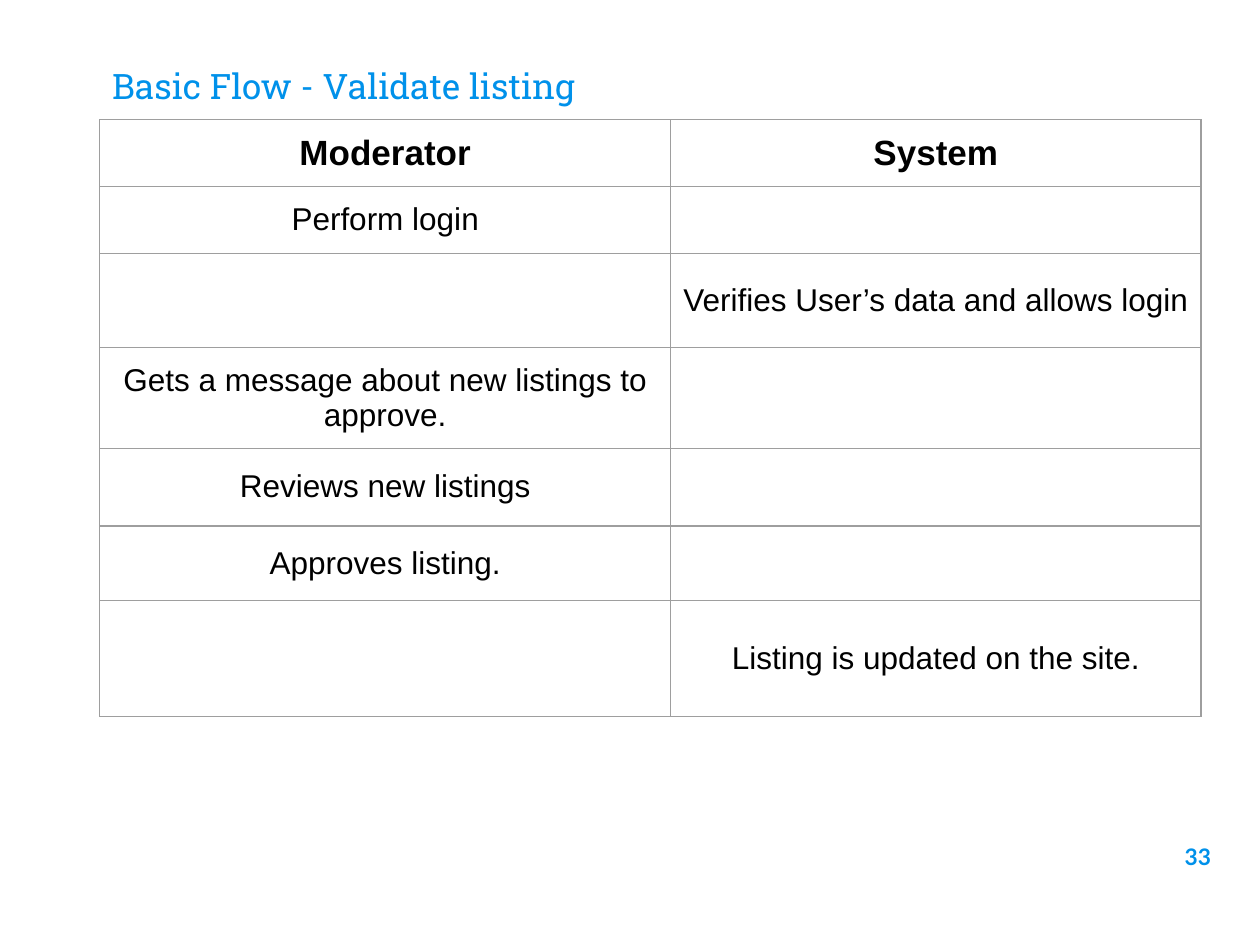
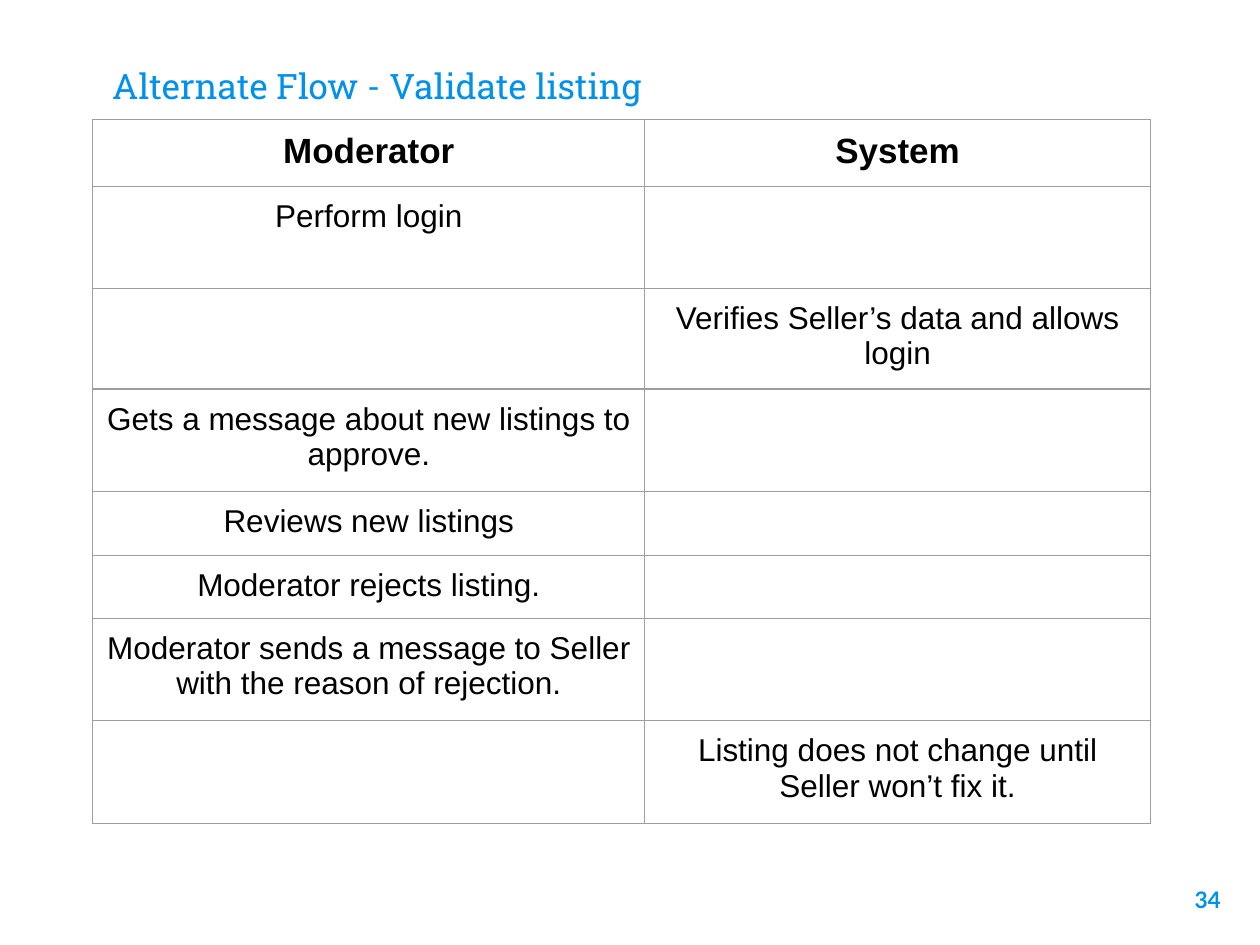
from dataclasses import dataclass

from lxml import etree
from pptx import Presentation
from pptx import util as u
from pptx.dml.color import RGBColor
from pptx.enum import text as t
from pptx.oxml import ns

BLUE, BLACK, GREY = "0091EA", "000000", "9E9E9E"
PAD = u.Cm(0.25)
HEADS = ("Moderator", "System")


@dataclass
class Step:
    actor: int  # column that acts: 0 moderator, 1 system
    words: str
    high: float


@dataclass
class Flow:
    title: str
    page: str
    spot: tuple[float, float]  # left and top of the page number
    left: float
    cols: tuple[float, float]
    anchor: t.MSO_ANCHOR
    steps: list[Step]


FLOWS = [
    Flow("Basic Flow - Validate listing", "33", (23.14, 16.74),
         2.01, (11.51, 10.69), t.MSO_ANCHOR.MIDDLE, [
             Step(0, "Perform login", 1.35),
             Step(1, "Verifies User’s data and allows login", 1.9),
             Step(0, "Gets a message about new listings to approve.", 1.9),
             Step(0, "Reviews new listings", 1.57),
             Step(0, "Approves listing.", 1.5),
             Step(1, "Listing is updated on the site.", 2.34)]),
    Flow("Alternate Flow - Validate listing", "34", (23.34, 17.6),
         1.87, (11.13, 10.19), t.MSO_ANCHOR.TOP, [
             Step(0, "Perform login", 2.06),
             Step(1, "Verifies Seller’s data and allows login", 1.9),
             Step(0, "Gets a message about new listings to approve.", 2.06),
             Step(0, "Reviews new listings", 1.3),
             Step(0, "Moderator rejects listing.", 1.27),
             Step(0, "Moderator sends a message to Seller with the reason of rejection.", 2.06),
             Step(1, "Listing does not change until Seller won’t fix it.", 2.06)]),
]


def color(code: str) -> RGBColor:
    return RGBColor.from_string(code)


def write(frame, words: str, *, size: int, font: str = "Arial", ink: str = BLACK,
          bold: bool = False, align=t.PP_ALIGN.CENTER) -> None:
    para = frame.paragraphs[0]
    para.alignment = align
    run = para.add_run()
    run.text = words
    run.font.size = u.Pt(size)
    run.font.name = font
    run.font.bold = bold
    run.font.color.rgb = color(ink)


def pad(item) -> None:
    """Set equal margins on a cell or a text frame."""
    item.margin_left = item.margin_right = PAD
    item.margin_top = item.margin_bottom = PAD


def label(slide, box: tuple, words: str, anchor=t.MSO_ANCHOR.TOP, **style) -> None:
    frame = slide.shapes.add_textbox(*map(u.Cm, box)).text_frame
    frame.word_wrap = True
    frame.vertical_anchor = anchor
    pad(frame)
    write(frame, words, ink=BLUE, **style)


def border(cell) -> None:
    props = cell._tc.get_or_add_tcPr()
    for side in ("lnL", "lnR", "lnT", "lnB"):
        line = etree.SubElement(props, ns.qn(f"a:{side}"), w=str(u.Pt(0.75)))
        fill = etree.SubElement(line, ns.qn("a:solidFill"))
        etree.SubElement(fill, ns.qn("a:srgbClr"), val=GREY)


def grid(slide, flow: Flow) -> None:
    highs = [1.29] + [step.high for step in flow.steps]
    table = slide.shapes.add_table(
        len(highs), len(HEADS), u.Cm(flow.left), u.Cm(2.41),
        u.Cm(sum(flow.cols)), u.Cm(sum(highs))).table
    table.first_row = table.horz_banding = False
    for col, wide in zip(table.columns, flow.cols):
        col.width = u.Cm(wide)
    for row, high in zip(table.rows, highs):
        row.height = u.Cm(high)
    for cell in table.iter_cells():
        pad(cell)
        cell.vertical_anchor = flow.anchor
        border(cell)
        cell.fill.background()
    for col, head in enumerate(HEADS):
        write(table.cell(0, col).text_frame, head, size=20, bold=True)
    for row, step in enumerate(flow.steps, 1):
        write(table.cell(row, step.actor).text_frame, step.words, size=18)


def main() -> None:
    deck = Presentation()
    deck.slide_width, deck.slide_height = u.Cm(25.4), u.Cm(19.05)
    for flow in FLOWS:
        slide = deck.slides.add_slide(deck.slide_layouts[6])
        label(slide, (2.01, -0.2, 21.03, 2.59), flow.title, t.MSO_ANCHOR.BOTTOM,
              size=20, font="Roboto Slab", align=t.PP_ALIGN.LEFT)
        label(slide, (*flow.spot, 1.52, 1.45), flow.page,
              size=13, font="Lato", bold=True, align=t.PP_ALIGN.RIGHT)
        grid(slide, flow)
    deck.save("out.pptx")


if __name__ == "__main__":
    main()
